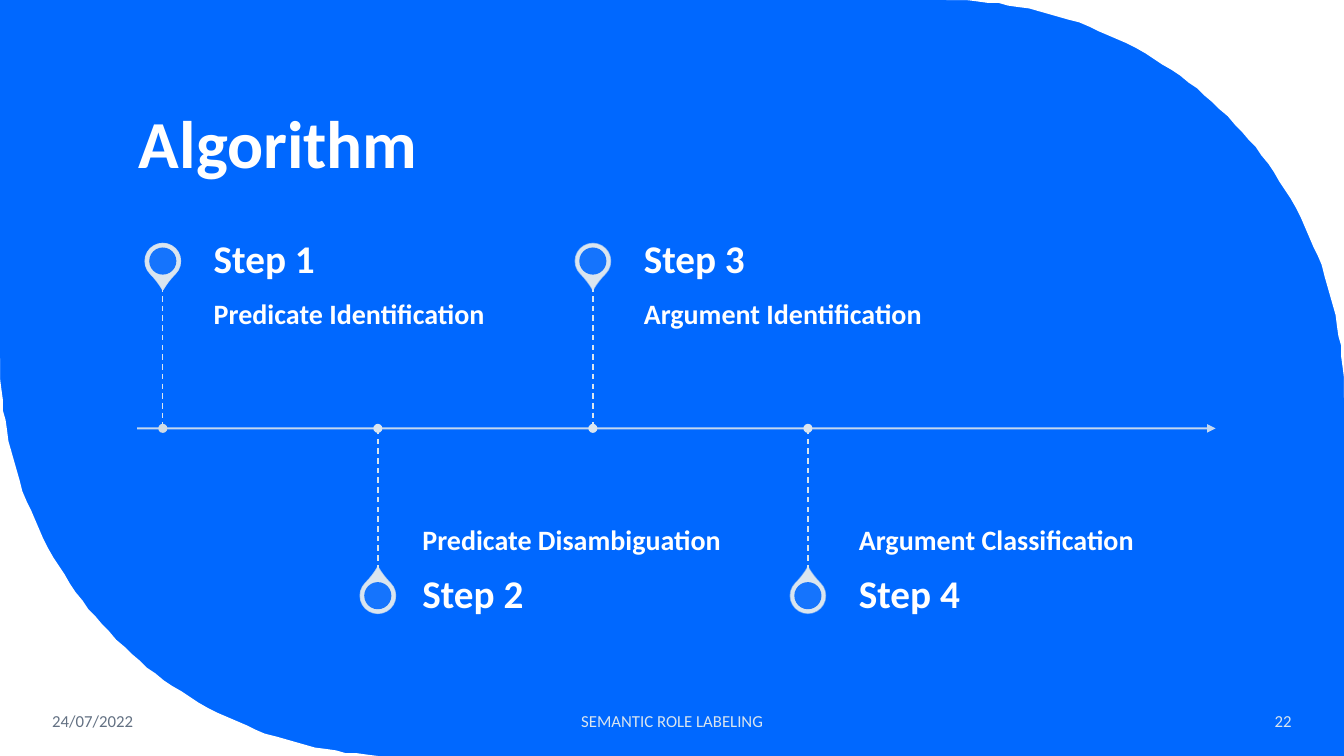
from math import cos, pi, sin

from lxml.etree import SubElement
from pptx import Presentation
from pptx.dml.color import RGBColor
from pptx.enum.dml import MSO_LINE
from pptx.enum.shapes import MSO_CONNECTOR, MSO_SHAPE
from pptx.enum.text import MSO_ANCHOR as ANCHOR, MSO_AUTO_SIZE, PP_ALIGN as ALIGN
from pptx.oxml.ns import qn
from pptx.util import Pt

BLUE = RGBColor(0x00, 0x68, 0xFF)
WHITE = RGBColor(0xFF, 0xFF, 0xFF)
PALE = RGBColor(0xDA, 0xE5, 0xEF)
DOT_GREY = RGBColor(0xD0, 0xDB, 0xE4)
DATE_GREY = RGBColor(0x63, 0x71, 0x83)

SLIDE_W, SLIDE_H = 960, 540
CORNER_R = 284.4
AXIS_Y = 306
FIRST_X, STEP_GAP = 116.3, 153.6
STEM, LABEL_H = 101.5, 36
PIN_DISTANCE = 119.5

# name, detail, gap from stem to text, text width, dot colour
STEPS = [
    ("Step 1", "Predicate Identification", 36.4, 219, DOT_GREY),
    ("Step 2", "Predicate Disambiguation", 31.8, 228, PALE),
    ("Step 3", "Argument Identification", 36.4, 219, PALE),
    ("Step 4", "Argument Classification", 36.4, 219, PALE),
]
# text, left, width, alignment, colour
FOOTERS = [
    ("24/07/2022", 30.2, 134, ALIGN.LEFT, DATE_GREY),
    ("SEMANTIC ROLE LABELING", 318.2, 324, ALIGN.CENTER, PALE),
    ("22", 799.2, 130.5, ALIGN.RIGHT, PALE),
]


def set_all(target, values):
    for name, value in values.items():
        setattr(target, name, value)


def set_opacity(element, percent):
    for color in element.iter(qn("a:srgbClr")):
        SubElement(color, qn("a:alpha"), val=str(round(percent * 1000)))


def write(frame, text, size, color, bold=False, align=ALIGN.LEFT,
          anchor=ANCHOR.TOP, spacing=0.9, insets=(7.2, 3.6, 7.2, 3.6)):
    """Fill a text frame with one formatted paragraph; insets run left, top, right, bottom."""
    left, top, right, bottom = map(Pt, insets)
    set_all(frame, {
        "text": text, "word_wrap": True, "auto_size": MSO_AUTO_SIZE.NONE,
        "vertical_anchor": anchor, "margin_left": left, "margin_top": top,
        "margin_right": right, "margin_bottom": bottom,
    })
    paragraph = frame.paragraphs[0]
    set_all(paragraph, {"alignment": align, "line_spacing": spacing})
    font = paragraph.runs[0].font
    set_all(font, {"name": "Calibri", "size": Pt(size), "bold": bold})
    font.color.rgb = color


def add_text(slide, left, top, width, height, text, size, color, **layout):
    box = slide.shapes.add_textbox(Pt(left), Pt(top), Pt(width), Pt(height))
    write(box.text_frame, text, size, color, **layout)


def add_centered(slide, preset, x, y, size, color):
    """Add a plain filled shape centered on x, y."""
    shape = slide.shapes.add_shape(
        preset, Pt(x - size / 2), Pt(y - size / 2), Pt(size), Pt(size))
    shape.shadow.inherit = False
    shape.fill.solid()
    shape.fill.fore_color.rgb = color
    shape.line.fill.background()
    return shape


def add_line(slide, x1, y1, x2, y2, width):
    line = slide.shapes.add_connector(
        MSO_CONNECTOR.STRAIGHT, Pt(x1), Pt(y1), Pt(x2), Pt(y2))
    line.line.color.rgb = PALE
    line.line.width = Pt(width)
    SubElement(line.element.spPr, qn("a:effectLst"))
    return line


def add_corner(slide, corner_x, corner_y, side):
    """Add the white area outside a rounded corner; side is 1 top right, -1 bottom left."""
    center_x = corner_x - side * CORNER_R
    center_y = corner_y + side * CORNER_R
    angles = [pi / 2 * i / 60 for i in range(61)]
    arc = [(center_x + side * CORNER_R * sin(a), center_y - side * CORNER_R * cos(a))
           for a in angles]
    outline = slide.shapes.build_freeform(corner_x, corner_y, scale=Pt(1))
    outline.add_line_segments(arc, close=True)
    corner = outline.convert_to_shape()
    corner.shadow.inherit = False
    corner.fill.solid()
    corner.fill.fore_color.rgb = WHITE
    corner.line.fill.background()


def add_axis(slide):
    axis = add_line(slide, 97.9, AXIS_Y, 868.3, AXIS_Y, 1.5)
    set_opacity(axis.element.spPr, 90)
    SubElement(axis.element.spPr.find(qn("a:ln")), qn("a:tailEnd"), type="triangle")


def add_pin(slide, x, y, above, outline_opacity):
    drop = add_centered(slide, MSO_SHAPE.TEAR, x, y, 25.2, PALE)
    drop.adjustments[0] = 1.15
    drop.rotation = 135 if above else 315
    drop.line.color.rgb = PALE
    drop.line.width = Pt(1)
    set_opacity(drop.element.spPr.find(qn("a:ln")), outline_opacity)
    hole = add_centered(slide, MSO_SHAPE.OVAL, x, y, 19.4, BLUE)
    set_opacity(hole.element.spPr, 90)


def add_step(slide, index, name, detail, gap, width, dot_color):
    above = index % 2 == 0
    side = -1 if above else 1
    x = FIRST_X + index * STEP_GAP
    stem_end = AXIS_Y + side * STEM
    add_pin(slide, x, AXIS_Y + side * PIN_DISTANCE, above, 90 - index * 40 / 3)
    add_text(slide, x + gap, min(AXIS_Y, stem_end), width, STEM, detail, 20, WHITE,
             bold=True, anchor=ANCHOR.TOP if above else ANCHOR.BOTTOM,
             insets=(0, 10, 10, 15) if above else (0, 15, 0, 10))
    add_text(slide, x + gap, stem_end - LABEL_H if above else stem_end, width, LABEL_H,
             name, 28, WHITE, bold=True, anchor=ANCHOR.MIDDLE, insets=(0, 0, 13.5, 0))
    stem = add_line(slide, x, stem_end, x, AXIS_Y, 1)
    stem.line.dash_style = MSO_LINE.DASH
    add_centered(slide, MSO_SHAPE.OVAL, x, AXIS_Y, 6.5, dot_color)


def add_title(slide, text):
    title = slide.shapes.title
    set_all(title, {"left": Pt(92), "top": Pt(30.2), "width": Pt(769.7), "height": Pt(104.4)})
    write(title.text_frame, text, 48, WHITE, bold=True, anchor=ANCHOR.BOTTOM)


def main():
    deck = Presentation()
    set_all(deck, {"slide_width": Pt(SLIDE_W), "slide_height": Pt(SLIDE_H)})
    slide = deck.slides.add_slide(deck.slide_layouts[5])
    slide.background.fill.solid()
    slide.background.fill.fore_color.rgb = BLUE

    add_corner(slide, SLIDE_W, 0, 1)
    add_corner(slide, 0, SLIDE_H, -1)
    add_title(slide, "Algorithm")
    add_axis(slide)
    for index, step in enumerate(STEPS):
        add_step(slide, index, *step)
    for text, left, width, align, color in FOOTERS:
        add_text(slide, left, 500.5, width, 28.8, text, 12, color,
                 align=align, anchor=ANCHOR.MIDDLE, spacing=1.0)
    deck.save("out.pptx")


if __name__ == "__main__":
    main()
